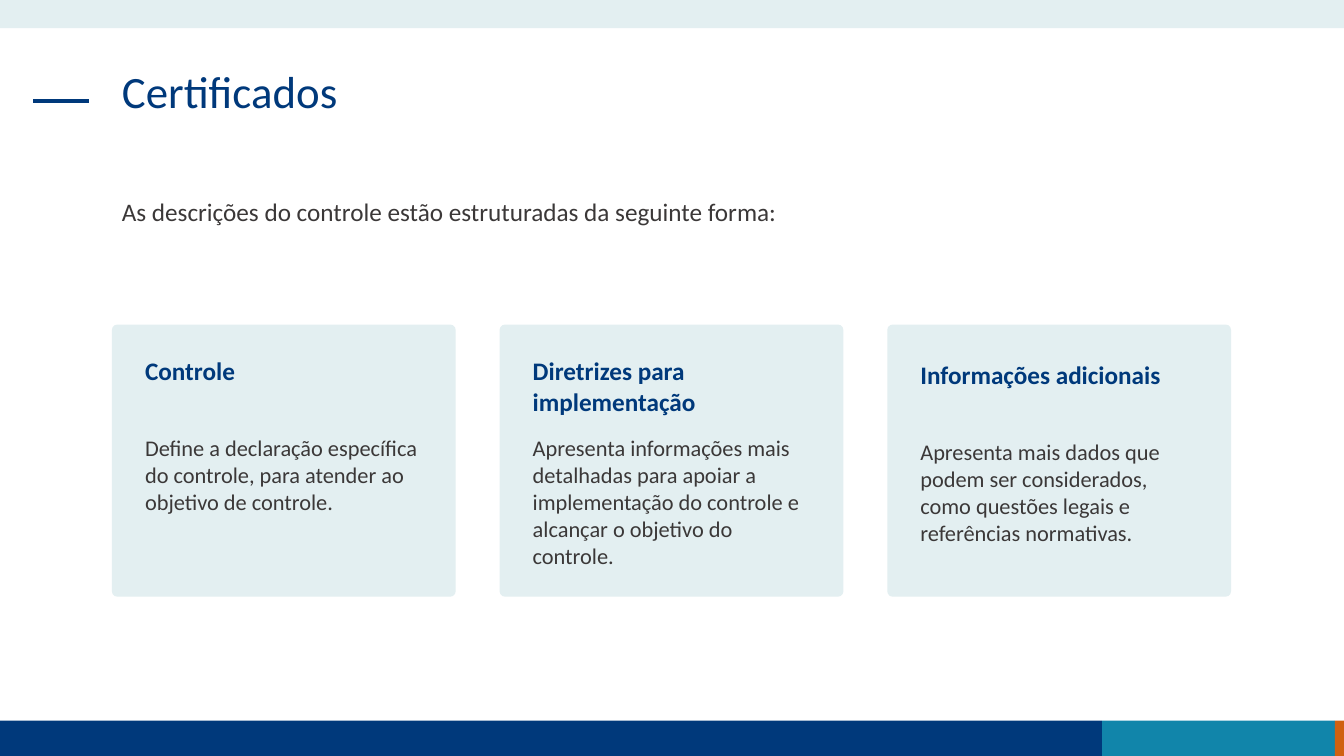
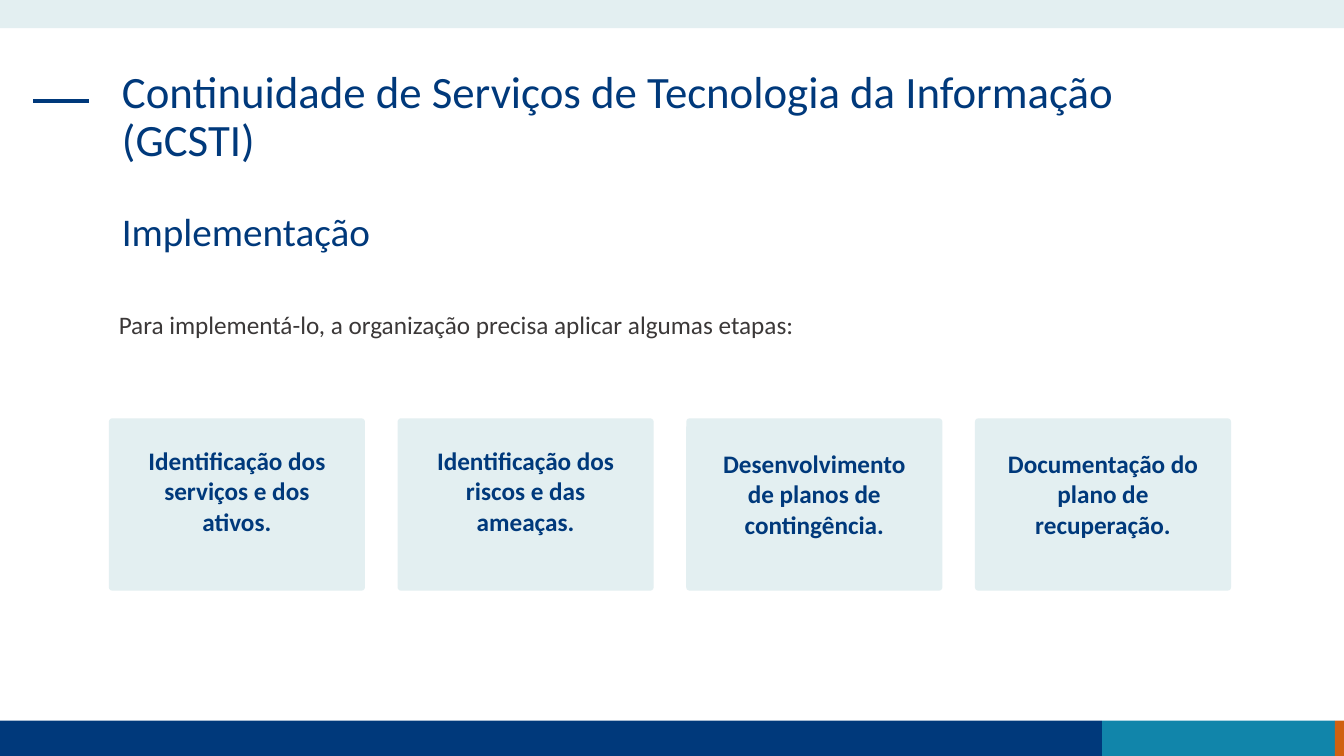
"""Builds two slides on control descriptions and service continuity steps."""
from dataclasses import dataclass

from lxml import etree
from pptx import Presentation
from pptx import util as u
from pptx.dml.color import RGBColor
from pptx.enum import shapes, text
from pptx.oxml.ns import qn


@dataclass(frozen=True)
class Theme:
    navy: str = "00397B"
    teal: str = "1185AA"
    orange: str = "D06110"
    pale: str = "E3EFF1"
    ink: str = "3B3838"
    font: str = "Calibri"
    title: int = 32
    subtitle: int = 28
    lead: int = 18
    body: int = 16


THEME = Theme()
EMU_PER_PX = 9144
SLIDE_SIZE = (1333, 750)
BANDS = [
    (0, 0, 1333, 28, THEME.pale),
    (0, 715, 1093, 35, THEME.navy),
    (1093, 715, 231, 35, THEME.teal),
    (1324, 715, 9, 35, THEME.orange),
]
TITLE_DASH = (33, 100, 88, 100)
TITLE_BOX = (111, 64, 1110, 94)
CARDS_RIGHT = 1221

SLIDES = [
    {
        "title": "Certificados",
        "lead": ("As descrições do controle estão estruturadas da seguinte forma:", (111, 190, 875, 40)),
        "grid": {"left": 111, "top": 322, "width": 341, "height": 270, "inset": 23},
        "cards": [
            {"heading": "Controle", "heading_top": 26, "body_top": 104,
             "body": "Define a declaração específica do controle, para atender ao objetivo de controle."},
            {"heading": "Diretrizes para implementação", "heading_top": 26, "body_top": 104,
             "body": "Apresenta informações mais detalhadas para apoiar a implementação do controle e "
                     "alcançar o objetivo do controle."},
            {"heading": "Informações adicionais", "heading_top": 30, "body_top": 108,
             "body": "Apresenta mais dados que podem ser considerados, como questões legais e "
                     "referências normativas."},
        ],
    },
    {
        "title": "Continuidade de Serviços de Tecnologia da Informação (GCSTI)",
        "subtitle": ("Implementação", (111, 206, 1110, 94)),
        "lead": ("Para implementá-lo, a organização precisa aplicar algumas etapas:", (108, 302, 1110, 40)),
        "grid": {"left": 108, "top": 415, "width": 254, "height": 171, "inset": 17},
        "cards": [
            {"heading": "Identificação dos serviços e dos ativos.", "heading_top": 22},
            {"heading": "Identificação dos riscos e das ameaças.", "heading_top": 22},
            {"heading": "Desenvolvimento de planos de contingência.", "heading_top": 25},
            {"heading": "Documentação do plano de recuperação.", "heading_top": 25},
        ],
    },
]


def px(*lengths):
    return [u.Emu(round(length * EMU_PER_PX)) for length in lengths]


def write(shape, wording, size, color, bold=False, align=text.PP_ALIGN.LEFT, spacing=1.0):
    frame = shape.text_frame
    frame.text = wording
    frame.word_wrap = True
    frame.auto_size = text.MSO_AUTO_SIZE.NONE
    frame.vertical_anchor = text.MSO_ANCHOR.TOP
    paragraph = frame.paragraphs[0]
    paragraph.alignment = align
    paragraph.line_spacing = spacing
    font = paragraph.runs[0].font
    font.name, font.size, font.bold = THEME.font, u.Pt(size), bold
    font.color.rgb = RGBColor.from_string(color)


def add_text(parent, box, wording, size, color, **style):
    write(parent.add_textbox(*px(*box)), wording, size, color, **style)


def add_block(parent, kind, box, color):
    shape = parent.add_shape(kind, *px(*box))
    shape.shadow.inherit = False
    shape.fill.solid()
    shape.fill.fore_color.rgb = RGBColor.from_string(color)
    shape.line.fill.background()
    return shape


def add_dash(parent, ends):
    dash = parent.add_connector(shapes.MSO_CONNECTOR.STRAIGHT, *px(*ends))
    dash.line.color.rgb = RGBColor.from_string(THEME.navy)
    dash.line.width = u.Pt(3)
    etree.SubElement(dash.element.spPr, qn("a:effectLst"))
    return dash


def prepare_layout(layout, slide):
    """Puts the shared bands, dash and title position on the layout."""
    for placeholder in list(layout.placeholders):
        if placeholder.placeholder_format.type == shapes.PP_PLACEHOLDER.TITLE:
            placeholder.left, placeholder.top, placeholder.width, placeholder.height = px(*TITLE_BOX)
        else:
            layout.shapes.element.remove(placeholder.element)
    decorations = [add_block(slide.shapes, shapes.MSO_SHAPE.RECTANGLE, band[:4], band[4]) for band in BANDS]
    decorations.append(add_dash(slide.shapes, TITLE_DASH))
    for decoration in decorations:
        layout.shapes.element.append(decoration.element)


def add_cards(slide, grid, cards):
    left, top, width, height, inset = (grid[key] for key in ("left", "top", "width", "height", "inset"))
    step = (CARDS_RIGHT - width - left) / (len(cards) - 1)
    for index, card in enumerate(cards):
        card_left = left + index * step
        group = slide.shapes.add_group_shape().shapes
        block = add_block(group, shapes.MSO_SHAPE.ROUNDED_RECTANGLE, (card_left, top, width, height), THEME.pale)
        block.adjustments[0] = 0.02
        text_left, text_width = card_left + inset, width - 2 * inset
        align = text.PP_ALIGN.LEFT if "body" in card else text.PP_ALIGN.CENTER
        add_text(group, (text_left, top + card["heading_top"], text_width, 71), card["heading"],
                 THEME.lead, THEME.navy, bold=True, align=align)
        if "body" in card:
            body_top = card["body_top"]
            add_text(group, (text_left, top + body_top, text_width, height - body_top), card["body"],
                     THEME.body, THEME.ink)


def main():
    presentation = Presentation()
    presentation.slide_width, presentation.slide_height = px(*SLIDE_SIZE)
    layout = presentation.slide_layouts.get_by_name("Title Only")
    for number, content in enumerate(SLIDES):
        slide = presentation.slides.add_slide(layout)
        if number == 0:
            prepare_layout(layout, slide)
        write(slide.shapes.title, content["title"], THEME.title, THEME.navy, spacing=0.9)
        if "subtitle" in content:
            wording, box = content["subtitle"]
            add_text(slide.shapes, box, wording, THEME.subtitle, THEME.navy, spacing=0.9)
        wording, box = content["lead"]
        add_text(slide.shapes, box, wording, THEME.lead, THEME.ink)
        add_cards(slide, content["grid"], content["cards"])
    presentation.save("out.pptx")


if __name__ == "__main__":
    main()
